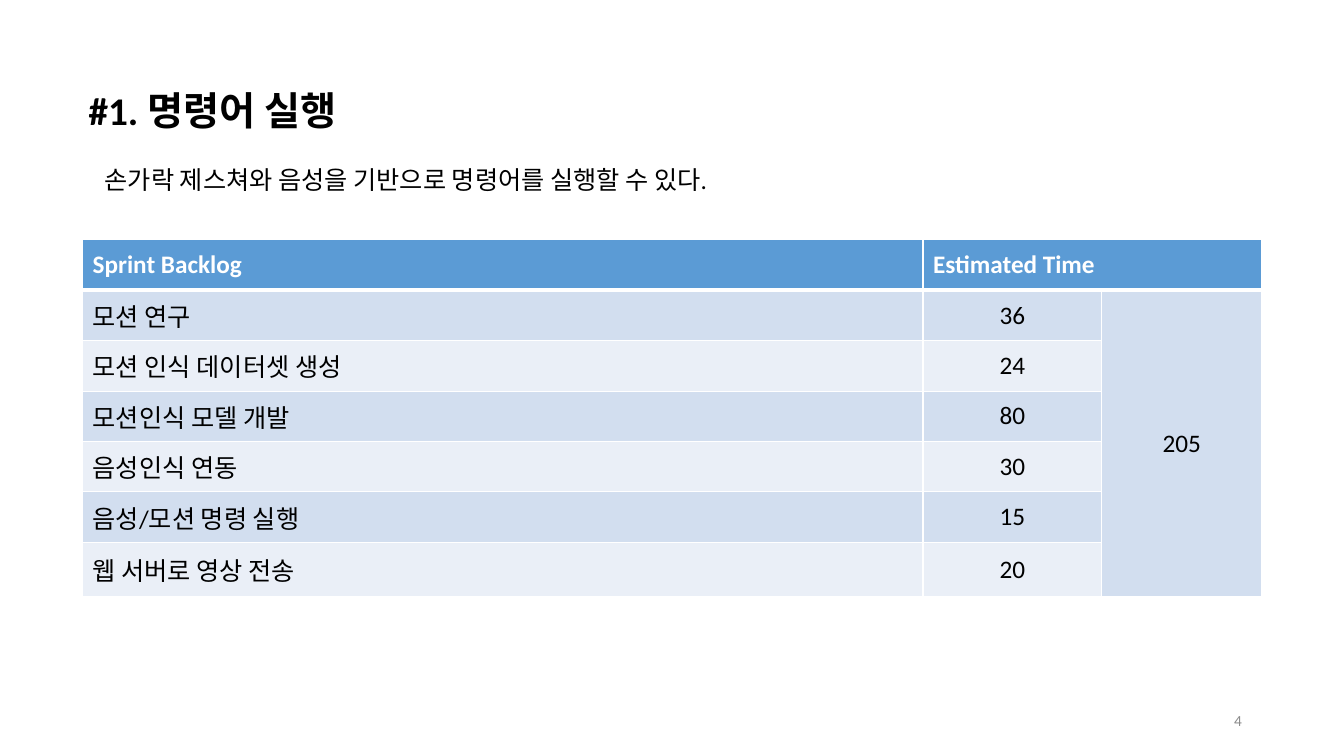
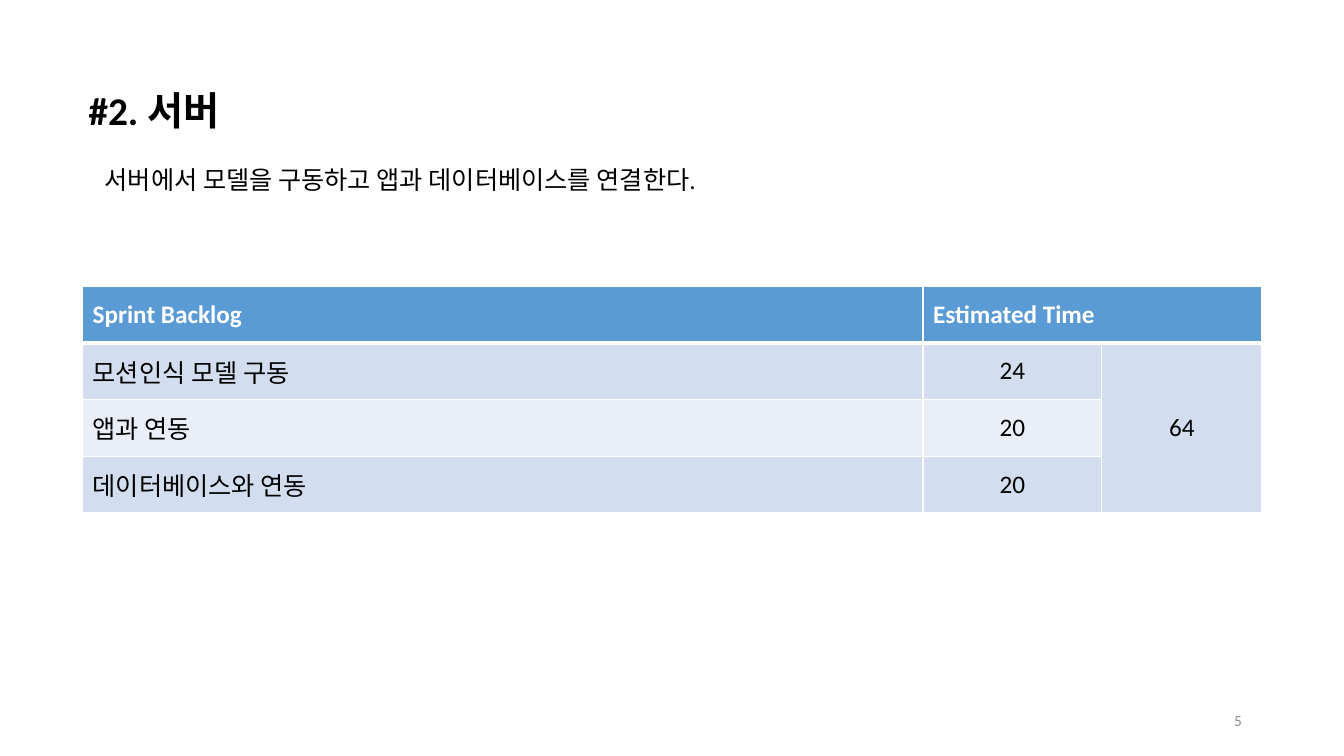
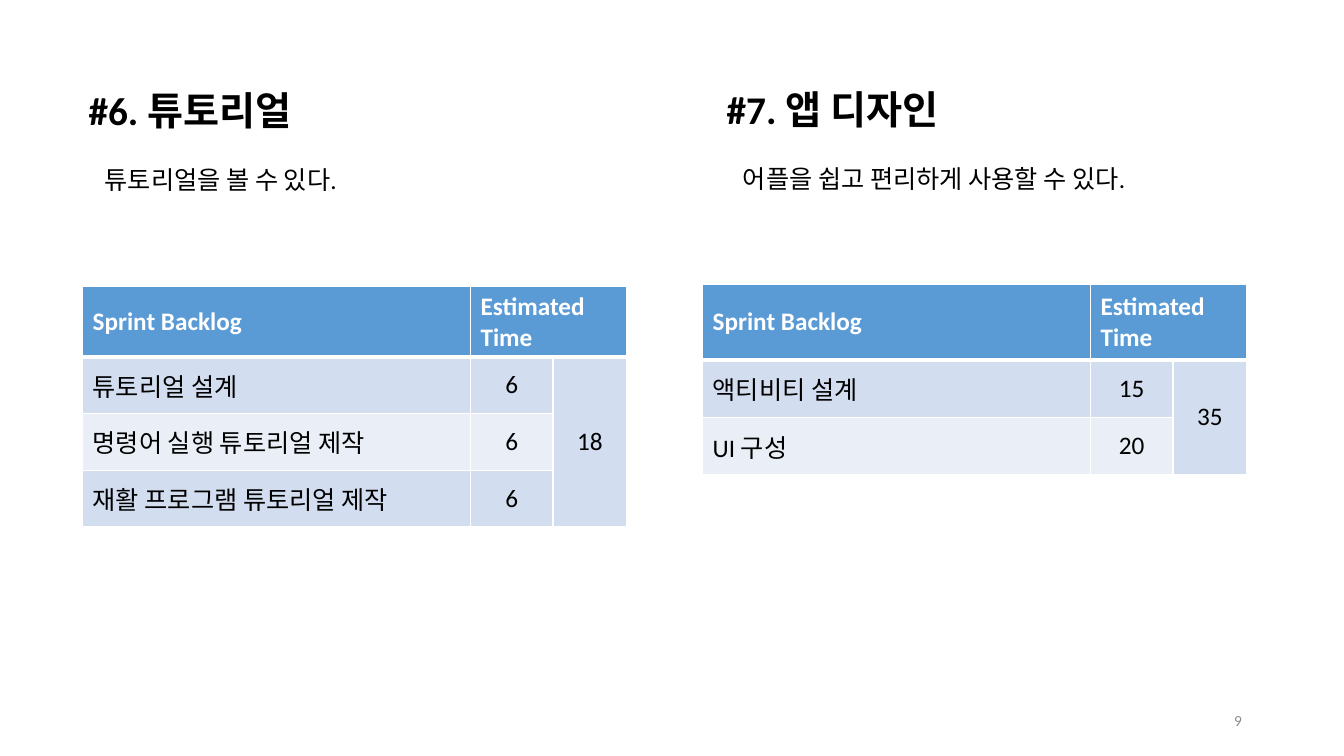
from dataclasses import dataclass

from lxml.etree import SubElement
from pptx import Presentation
from pptx.dml.color import RGBColor
from pptx.enum.text import MSO_ANCHOR, MSO_AUTO_SIZE, PP_ALIGN
from pptx.oxml.ns import qn
from pptx.util import Inches, Length, Pt


@dataclass(frozen=True)
class Theme:
    font: str = "Calibri"
    ink: str = "000000"
    white: str = "FFFFFF"
    muted: str = "8C8C8C"
    header: str = "5B9BD5"
    bands: tuple[str, str] = ("D2DEEF", "EAEFF7")
    title_size: int = 28
    body_size: int = 18
    footer_size: int = 11
    thin_line: int = 1
    thick_line: int = 3


@dataclass(frozen=True)
class Task:
    name: str
    hours: int


@dataclass(frozen=True)
class Story:
    """A heading, a summary and a backlog table; lengths are percent of the slide."""
    title: str
    summary: str
    tasks: tuple[Task, ...]
    rows: tuple[float, ...]
    title_width: float
    summary_width: float
    table_top: float = 37.87
    table_width: float = 87.75
    left: float = 5.85
    top: float = 10.8
    table_left: float = 6.15


@dataclass(frozen=True)
class Page:
    number: int
    stories: tuple[Story, ...]


THEME = Theme()
SLIDE_WIDTH, SLIDE_HEIGHT = Inches(13.33), Inches(7.5)
COLUMN_WEIGHTS = (8.33, 1.77, 1.59)
SUMMARY_INDENT, SUMMARY_DROP = 1.2, 10.27
TITLE_HEIGHT, LINE_HEIGHT = 7.6, 5.33

PAGES = (
    Page(4, (
        Story("#1. 명령어 실행", "손가락 제스쳐와 음성을 기반으로 명령어를 실행할 수 있다.",
              (Task("모션 연구", 36), Task("모션 인식 데이터셋 생성", 24),
               Task("모션인식 모델 개발", 80), Task("음성인식 연동", 30),
               Task("음성/모션 명령 실행", 15), Task("웹 서버로 영상 전송", 20)),
              rows=(6.67,) * 6 + (7.2,), title_width=24.83, summary_width=53.7,
              table_top=31.73),
    )),
    Page(5, (
        Story("#2. 서버", "서버에서 모델을 구동하고 앱과 데이터베이스를 연결한다.",
              (Task("모션인식 모델 구동", 24), Task("앱과 연동", 20),
               Task("데이터베이스와 연동", 20)),
              rows=(7.5,) * 4, title_width=24.83, summary_width=53.7),
    )),
    Page(9, (
        Story("#6. 튜토리얼", "튜토리얼을 볼 수 있다.",
              (Task("튜토리얼 설계", 6), Task("명령어 실행 튜토리얼 제작", 6),
               Task("재활 프로그램 튜토리얼 제작", 6)),
              rows=(7.5,) * 4, title_width=20.18, summary_width=24.83,
              table_width=40.5),
        Story("#7. 앱 디자인", "어플을 쉽고 편리하게 사용할 수 있다.",
              (Task("액티비티 설계", 15), Task("UI 구성", 20)),
              rows=(10, 7.6, 7.6), title_width=20.18, summary_width=35.25,
              table_width=40.5, table_top=37.6, left=53.33, top=10.67,
              table_left=52.28),
    )),
)


def across(percent: float) -> Length:
    return Length(round(SLIDE_WIDTH * percent / 100))


def down(percent: float) -> Length:
    return Length(round(SLIDE_HEIGHT * percent / 100))


def write(frame, text: str, *, size: int = THEME.body_size, color: str = THEME.ink,
          bold: bool = False, align: PP_ALIGN = PP_ALIGN.LEFT) -> None:
    para = frame.paragraphs[0]
    para.alignment = align
    span = para.add_run()
    span.text = text
    span.font.name = THEME.font
    span.font.size = Pt(size)
    span.font.bold = bold
    span.font.color.rgb = RGBColor.from_string(color)


def add_text(page, text: str, left: float, top: float, width: float, height: float, *,
             anchor: MSO_ANCHOR = MSO_ANCHOR.TOP, grow: bool = True, **style) -> None:
    box = page.shapes.add_textbox(across(left), down(top), across(width), down(height))
    frame = box.text_frame
    frame.word_wrap = True
    frame.auto_size = MSO_AUTO_SIZE.SHAPE_TO_FIT_TEXT if grow else MSO_AUTO_SIZE.NONE
    frame.vertical_anchor = anchor
    write(frame, text, **style)


def style_cell(cell, fill: str, row: int) -> None:
    """Draw white borders, thick below the header row, then fill the cell."""
    thick_side = {0: "lnB", 1: "lnT"}.get(row)
    properties = cell._tc.get_or_add_tcPr()
    for side in ("lnL", "lnR", "lnT", "lnB"):
        points = THEME.thick_line if side == thick_side else THEME.thin_line
        line = SubElement(properties, qn(f"a:{side}"), w=str(Pt(points)))
        paint = SubElement(line, qn("a:solidFill"))
        SubElement(paint, qn("a:srgbClr"), val=THEME.white)
    cell.fill.solid()
    cell.fill.fore_color.rgb = RGBColor.from_string(fill)
    cell.vertical_anchor = MSO_ANCHOR.MIDDLE


def add_backlog(page, story: Story) -> None:
    table = page.shapes.add_table(
        len(story.rows), len(COLUMN_WEIGHTS), across(story.table_left),
        down(story.table_top), across(story.table_width), down(sum(story.rows))).table
    for column, weight in zip(table.columns, COLUMN_WEIGHTS):
        column.width = across(story.table_width * weight / sum(COLUMN_WEIGHTS))
    for row, height in zip(table.rows, story.rows):
        row.height = down(height)

    # Fills and borders
    for row in range(len(story.rows)):
        for column in range(len(COLUMN_WEIGHTS)):
            band = THEME.bands[0 if column == 2 else (row - 1) % 2]
            style_cell(table.cell(row, column), THEME.header if row == 0 else band, row)
    table.cell(0, 1).merge(table.cell(0, 2))
    table.cell(1, 2).merge(table.cell(len(story.tasks), 2))

    # Header, tasks and total
    for column, label in enumerate(("Sprint Backlog", "Estimated Time")):
        write(table.cell(0, column).text_frame, label, color=THEME.white, bold=True)
    for row, task in enumerate(story.tasks, start=1):
        write(table.cell(row, 0).text_frame, task.name)
        write(table.cell(row, 1).text_frame, str(task.hours), align=PP_ALIGN.CENTER)
    total = sum(task.hours for task in story.tasks)
    write(table.cell(1, 2).text_frame, str(total), align=PP_ALIGN.CENTER)


def add_story(page, story: Story) -> None:
    add_text(page, story.title, story.left, story.top, story.title_width, TITLE_HEIGHT,
             size=THEME.title_size, bold=True)
    add_text(page, story.summary, story.left + SUMMARY_INDENT, story.top + SUMMARY_DROP,
             story.summary_width, LINE_HEIGHT)
    add_backlog(page, story)


def add_page_number(page, number: int) -> None:
    add_text(page, str(number), 70.65, 92.67, 22.5, LINE_HEIGHT, grow=False,
             anchor=MSO_ANCHOR.MIDDLE, size=THEME.footer_size, color=THEME.muted,
             align=PP_ALIGN.RIGHT)


def main() -> None:
    deck = Presentation()
    deck.slide_width, deck.slide_height = SLIDE_WIDTH, SLIDE_HEIGHT
    blank = deck.slide_layouts[6]
    for content in PAGES:
        page = deck.slides.add_slide(blank)
        for story in content.stories:
            add_story(page, story)
        add_page_number(page, content.number)
    deck.save("out.pptx")


if __name__ == "__main__":
    main()
